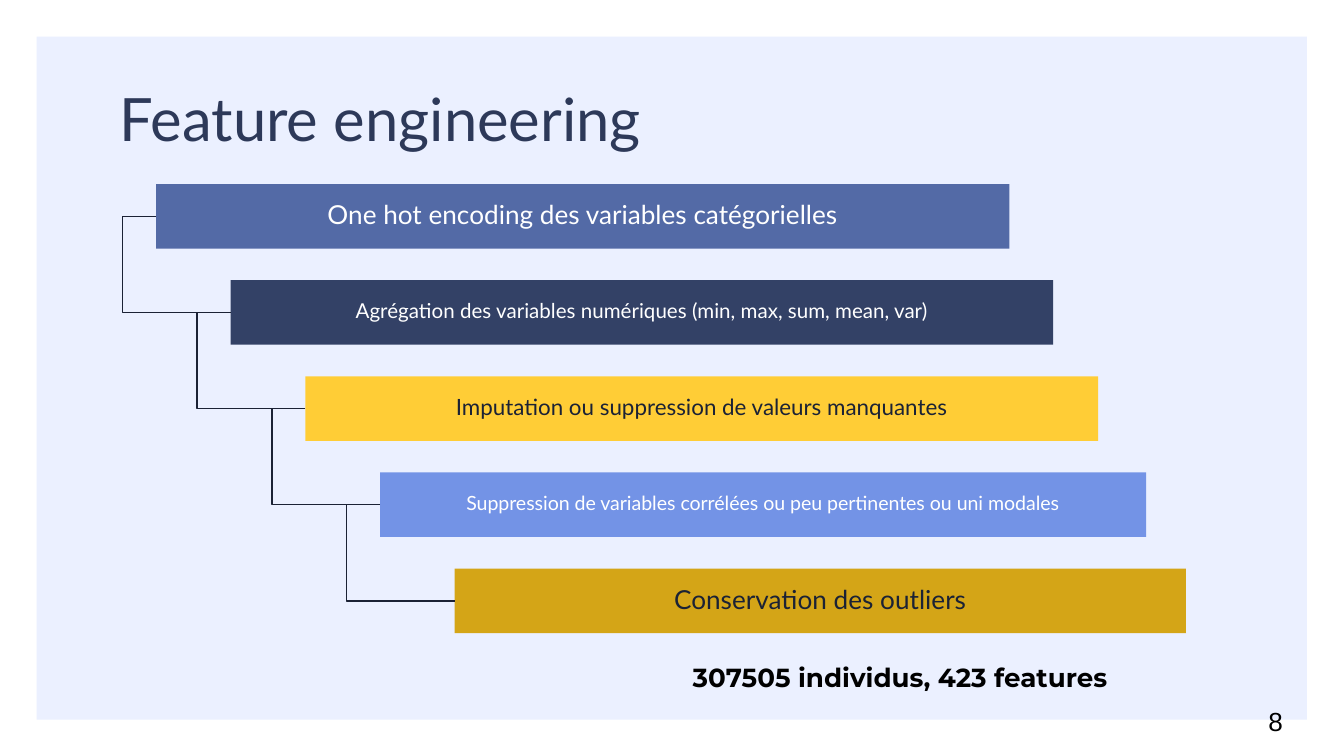
"""Build the feature engineering slide: five stepped bars joined by elbow lines."""
from lxml import etree
from pptx import Presentation
from pptx.dml.color import RGBColor
from pptx.enum.shapes import MSO_CONNECTOR, MSO_SHAPE
from pptx.enum.text import MSO_ANCHOR, PP_ALIGN
from pptx.oxml.ns import qn
from pptx.util import Pt

RECT = MSO_SHAPE.RECTANGLE
ELBOW = MSO_CONNECTOR.ELBOW
TOP, MIDDLE = MSO_ANCHOR.TOP, MSO_ANCHOR.MIDDLE
LEFT, CENTER = PP_ALIGN.LEFT, PP_ALIGN.CENTER
INK = "1B2235"
WHITE = "FFFFFF"


def paint(color, code):
    color.rgb = RGBColor.from_string(code)


def write(shape, text, size, font, code, align=LEFT, anchor=TOP, inset=7.2, bold=False):
    frame = shape.text_frame
    frame.word_wrap = True
    frame.vertical_anchor = anchor
    frame.margin_left = frame.margin_right = frame.margin_bottom = Pt(7.2)
    frame.margin_top = Pt(inset)
    para = frame.paragraphs[0]
    para.alignment = align
    run = para.add_run()
    run.text = text
    run.font.size = Pt(size)
    run.font.name = font
    run.font.bold = bold
    paint(run.font.color, code)


deck = Presentation()
deck.slide_width, deck.slide_height = Pt(720), Pt(405)
slide = deck.slides.add_slide(deck.slide_layouts[6])
shapes = slide.shapes

panel = shapes.add_shape(RECT, Pt(19.6), Pt(19.6), Pt(680.6), Pt(366))
panel.shadow.inherit = False
panel.fill.solid()
paint(panel.fill.fore_color, "EBF0FF")
panel.line.fill.background()

title = shapes.add_textbox(Pt(57), Pt(36.8), Pt(607), Pt(46.8))
write(title, "Feature engineering", 32, "Lato", "2D3959")

steps = [
    ("One hot encoding des variables catégorielles", 457.2, 14, "536AA6", WHITE),
    ("Agrégation des variables numériques (min, max, sum, mean, var)", 440.6, 11, "334166", WHITE),
    ("Imputation ou suppression de valeurs manquantes", 424.8, 12, "FFCD36", INK),
    ("Suppression de variables corrélées ou peu pertinentes ou uni modales", 410.4, 10.5, "7393E6", WHITE),
    ("Conservation des outliers", 391.7, 14, "D4A517", INK),
]
bars = []
for i, (text, width, size, fill, ink) in enumerate(steps):
    bar = shapes.add_shape(RECT, Pt(83.6 + 40 * i), Pt(98.6 + 51.5 * i), Pt(width), Pt(34.6))
    bar.shadow.inherit = False
    bar.fill.solid()
    paint(bar.fill.fore_color, fill)
    bar.line.fill.background()
    write(bar, text, size, "Lato", ink, CENTER, MIDDLE, 5)
    bars.append(bar)

for upper, lower in zip(bars, bars[1:]):
    link = shapes.add_connector(ELBOW, 0, 0, 0, 0)
    link.begin_connect(upper, 1)
    link.end_connect(lower, 1)
    link.line.width = Pt(0.75)
    paint(link.line.color, INK)
    props = link._element.spPr
    etree.SubElement(props, qn("a:effectLst"))
    guides = props.find(qn("a:prstGeom")).find(qn("a:avLst"))
    etree.SubElement(guides, qn("a:gd"), name="adj1", fmla="val -45000")

total = shapes.add_textbox(Pt(357), Pt(347), Pt(250.6), Pt(34.6))
write(total, "307505 individus, 423 features", 14, "Montserrat", "000000", CENTER, bold=True)

number = shapes.add_textbox(Pt(672.5), Pt(374.4), Pt(47.5), Pt(24.5))
write(number, "8", 14, "Arial", "000000", inset=3.6)

deck.save("out.pptx")
